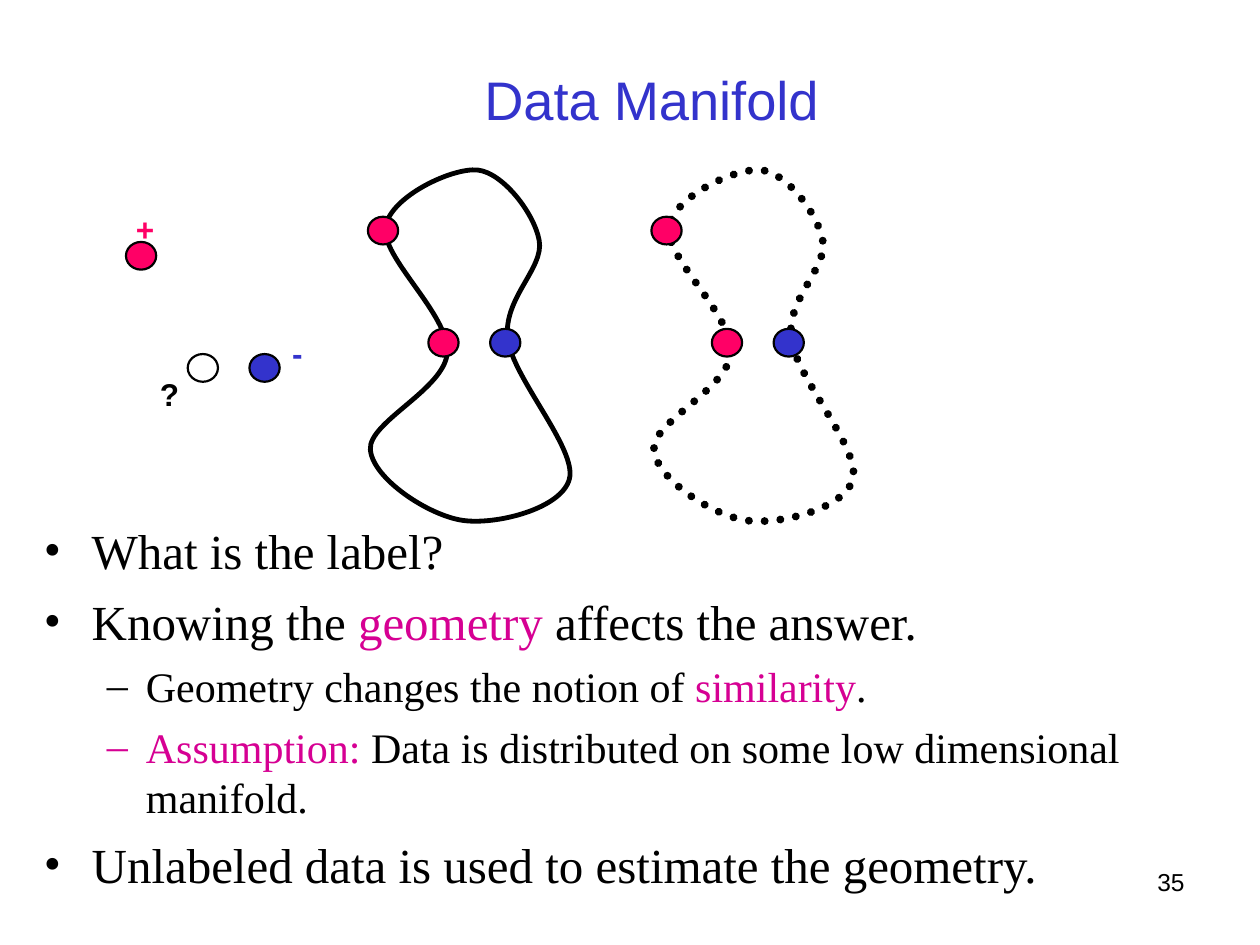
from lxml.etree import SubElement
from pptx import Presentation
from pptx.dml.color import RGBColor
from pptx.enum.shapes import MSO_SHAPE
from pptx.enum.text import MSO_ANCHOR, MSO_AUTO_SIZE, PP_ALIGN
from pptx.oxml.ns import qn
from pptx.util import Inches, Pt

BLACK, BLUE, RED, MAGENTA = "000000", "3333CC", "FF0066", "D60093"


def style(font, size, color, name="Arial", bold=False):
    """Set every property of a font that this slide uses."""
    font.size, font.name, font.bold = Pt(size), name, bold
    font.color.rgb = RGBColor.from_string(color)


def add_point(shapes, left, top, color=None):
    """Draw one data point; without a colour it is unlabeled."""
    point = shapes.add_shape(MSO_SHAPE.OVAL, Inches(left), Inches(top), Inches(0.24), Inches(0.22))
    point.shadow.inherit = False
    if color:
        point.fill.solid()
        point.fill.fore_color.rgb = RGBColor.from_string(color)
    else:
        point.fill.background()
    point.line.color.rgb = RGBColor.from_string(BLACK)
    point.line.width = Pt(1.25)


prs = Presentation()
prs.slide_width, prs.slide_height = Inches(10), Inches(7.5)
slide = prs.slides.add_slide(prs.slide_layouts[5])

title = slide.shapes.title
title.left, title.top, title.width, title.height = Inches(0.92), Inches(0.5), Inches(8.5), Inches(0.67)
title.text_frame.text = "Data Manifold"
title.text_frame.auto_size = MSO_AUTO_SIZE.NONE
title.text_frame.vertical_anchor = MSO_ANCHOR.MIDDLE
heading = title.text_frame.paragraphs[0]
heading.alignment = PP_ALIGN.CENTER
heading.line_spacing = 0.8
style(heading.runs[0].font, 31, BLUE)

page_number = slide.shapes.add_textbox(Inches(7.17), Inches(6.83), Inches(2.33), Inches(0.52))
page_number.text_frame.word_wrap = True
page_number.text_frame.text = "35"
page_number.text_frame.paragraphs[0].alignment = PP_ALIGN.RIGHT
style(page_number.text_frame.paragraphs[0].runs[0].font, 14, BLACK)

# Each statement: level, then its pieces of text with their colours
statements = [
    (0, [("What is the label?", BLACK)]),
    (0, [("Knowing the ", BLACK), ("geometry ", MAGENTA), ("affects the answer.", BLACK)]),
    (1, [("Geometry changes the notion of ", BLACK), ("similarity", MAGENTA), (".", BLACK)]),
    (1, [("Assumption: ", MAGENTA),
         ("Data is distributed on some low dimensional manifold.", BLACK)]),
    (0, [("Unlabeled data is used to estimate the geometry.", BLACK)]),
]
# Per level: text size, space before, left margin, hanging indent, bullet
levels = [(28, 7, 0.38, -0.38, "•"), (24, 6, 0.81, -0.31, "–")]

body = slide.shapes.add_textbox(Inches(0.25), Inches(4.08), Inches(9.67), Inches(3.17)).text_frame
body.word_wrap = True
for i, (level, pieces) in enumerate(statements):
    size, space_before, margin, indent, bullet = levels[level]
    paragraph = body.add_paragraph() if i else body.paragraphs[0]
    paragraph.level = level
    properties = paragraph._p.get_or_add_pPr()
    properties.set("marL", str(Inches(margin)))
    properties.set("indent", str(Inches(indent)))
    bullet_color = SubElement(properties, qn("a:buClr"))
    SubElement(bullet_color, qn("a:srgbClr"), val=pieces[0][1])
    SubElement(properties, qn("a:buFont"), typeface="Times New Roman")
    SubElement(properties, qn("a:buChar"), char=bullet)
    if i:
        paragraph.space_before = Pt(space_before)
    for text, color in pieces:
        run = paragraph.add_run()
        run.text = text
        style(run.font, size, color, "Times New Roman")

# Bezier points of the manifold: the start, then three points per curve
manifold = [
    (3.06, 1.8),
    (3.02, 2.04), (3.57, 2.5), (3.55, 2.8),
    (3.53, 3.09), (2.92, 3.35), (2.94, 3.57),
    (2.96, 3.8), (3.4, 4.09), (3.67, 4.13),
    (3.93, 4.17), (4.46, 4.04), (4.52, 3.8),
    (4.58, 3.56), (4.07, 3), (4.03, 2.69),
    (3.99, 2.37), (4.32, 2.13), (4.28, 1.91),
    (4.24, 1.69), (3.99, 1.37), (3.79, 1.35),
    (3.59, 1.33), (3.1, 1.56), (3.06, 1.8),
]
for shift, width, dotted in [(0, 2.75, False), (2.25, 4.5, True)]:
    group = slide.shapes.add_group_shape().shapes
    points = [(Inches(x + shift), Inches(y)) for x, y in manifold]
    builder = group.build_freeform(*points[0])
    builder.add_line_segments(points[1:], close=True)
    curve = builder.convert_to_shape()
    curve.shadow.inherit = False
    curve.fill.background()
    curve.line.color.rgb = RGBColor.from_string(BLACK)
    curve.line.width = Pt(width)
    if dotted:
        outline = curve.line._ln
        outline.set("cap", "rnd")
        SubElement(outline, qn("a:prstDash"), val="sysDot")
    # Turn every three line segments into one cubic curve
    segments = list(curve._element.iter(qn("a:lnTo")))
    for first, second, third in zip(segments[::3], segments[1::3], segments[2::3]):
        cubic = first.makeelement(qn("a:cubicBezTo"))
        first.addprevious(cubic)
        for segment in (first, second, third):
            cubic.append(segment[0])
            segment.getparent().remove(segment)
    for left, top, color in [(3.89, 2.61, BLUE), (3.4, 2.61, RED), (2.92, 1.72, RED)]:
        add_point(group, left + shift, top, color)

legend = slide.shapes.add_group_shape().shapes
for left, top, color in [(1.98, 2.81, BLUE), (1.49, 2.81, None), (1, 1.92, RED)]:
    add_point(legend, left, top, color)
for sign, left, top, width, color in [("+", 0.98, 1.62, 0.34, RED), ("-", 2.22, 2.6, 0.28, BLUE),
                                      ("?", 1.17, 2.93, 0.35, BLACK)]:
    label = legend.add_textbox(Inches(left), Inches(top), Inches(width), Inches(0.4)).text_frame
    label.word_wrap = False
    label.auto_size = MSO_AUTO_SIZE.SHAPE_TO_FIT_TEXT
    label.text = sign
    style(label.paragraphs[0].runs[0].font, 18, color, bold=True)

prs.save("out.pptx")
